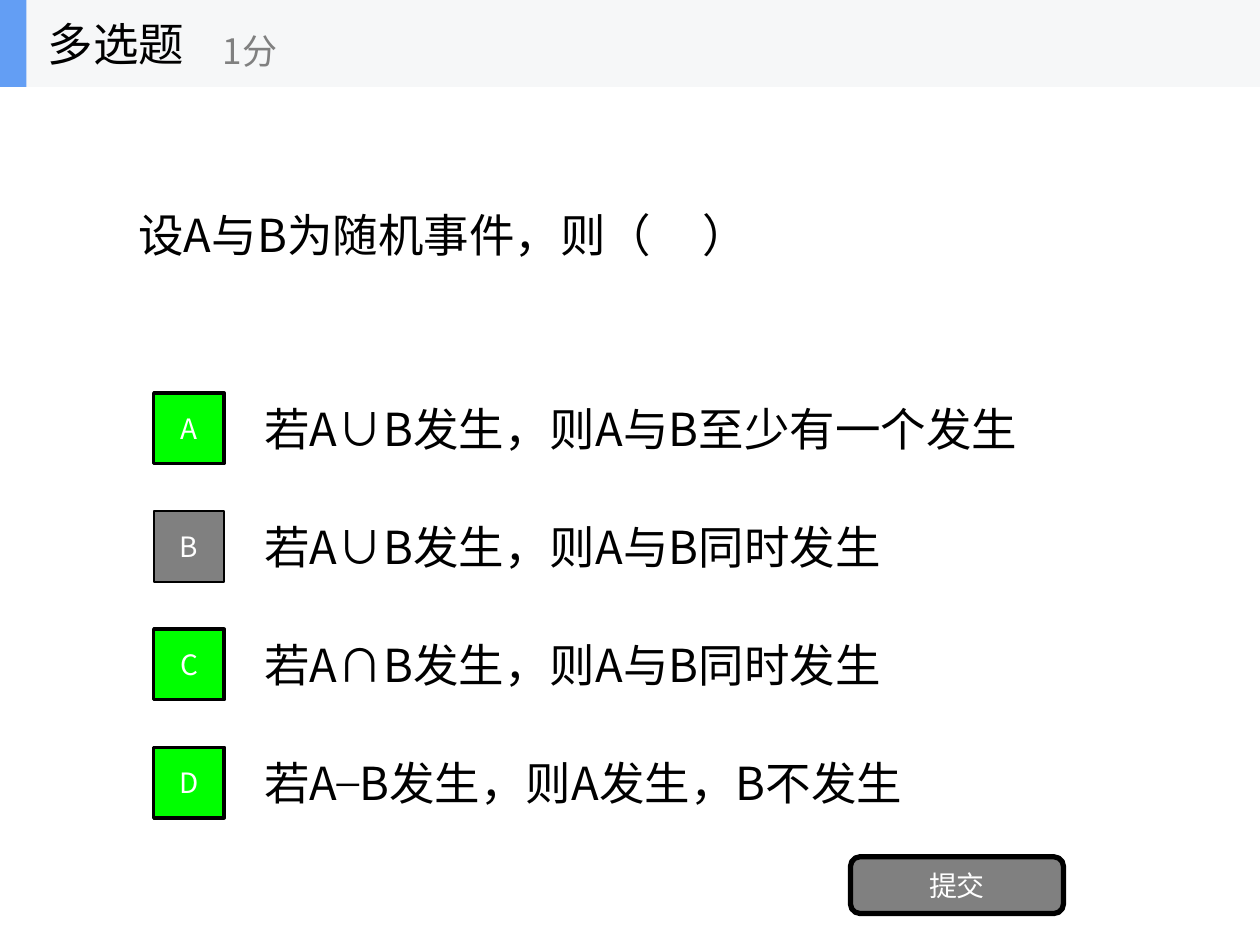
"""Build a multiple-choice question slide on random events."""
from dataclasses import dataclass

from lxml import etree
from pptx import Presentation
from pptx.dml.color import RGBColor
from pptx.enum.shapes import MSO_SHAPE
from pptx.enum.text import MSO_ANCHOR, MSO_AUTO_SIZE, PP_ALIGN
from pptx.oxml.ns import qn
from pptx.util import Inches, Pt

RECTANGLE = MSO_SHAPE.RECTANGLE
ROUNDED = MSO_SHAPE.ROUNDED_RECTANGLE
LEFT, CENTER = PP_ALIGN.LEFT, PP_ALIGN.CENTER
MIDDLE = MSO_ANCHOR.MIDDLE
NO_AUTOFIT = MSO_AUTO_SIZE.NONE
TITLE_ONLY = 5

HEADING = "多选题"
SCORE = "1分"
QUESTION = "设A与B为随机事件，则（     ）"
SUBMIT = "提交"
OPTIONS = [
    ("A", True, "若A∪B发生，则A与B至少有一个发生"),
    ("B", False, "若A∪B发生，则A与B同时发生"),
    ("C", True, "若A∩B发生，则A与B同时发生"),
    ("D", True, ["若A ", ("̶ ", "Times New Roman"), "B发生，则A发生，B不发生"]),
]


@dataclass(frozen=True)
class Theme:
    font: str = "Noto Sans CJK SC"
    ink: str = "000000"
    white: str = "FFFFFF"
    gray: str = "808080"
    correct: str = "00FF00"
    band: str = "F6F7F8"
    accent: str = "639EF4"
    large: int = 26
    medium: int = 20
    small: int = 16


THEME = Theme()
HEADER_HEIGHT = 0.69
OPTION_TOP, OPTION_PITCH, OPTION_HEIGHT = 3.05, 0.937, 0.7
KEY_SIZE = 0.56


def write_text(shape, text, size=THEME.large, color=THEME.ink, align=LEFT, wrap=True):
    frame = shape.text_frame
    frame.auto_size = NO_AUTOFIT
    frame.word_wrap = wrap
    frame.vertical_anchor = MIDDLE
    paragraph = frame.paragraphs[0]
    paragraph.alignment = align
    for part in [text] if isinstance(text, str) else text:
        content, font_name = (part, THEME.font) if isinstance(part, str) else part
        run = paragraph.add_run()
        run.text = content
        run.font.size = Pt(size)
        run.font.color.rgb = RGBColor.from_string(color)
        run.font.name = font_name
        properties = run.font._element
        etree.SubElement(properties, qn("a:ea")).set("typeface", font_name)


def add_text(slide, box, text, **style):
    shape = slide.shapes.add_textbox(*map(Inches, box))
    write_text(shape, text, **style)


def add_block(slide, box, fill, kind=RECTANGLE, line_width=0):
    shape = slide.shapes.add_shape(kind, *map(Inches, box))
    shape.shadow.inherit = False
    shape.fill.solid()
    shape.fill.fore_color.rgb = RGBColor.from_string(fill)
    if line_width:
        shape.line.color.rgb = RGBColor.from_string(THEME.ink)
        shape.line.width = Pt(line_width)
    else:
        shape.line.fill.background()
    return shape


def add_header(slide):
    title = slide.shapes.title
    for width, fill in ((10, THEME.band), (0.21, THEME.accent)):
        bar = add_block(slide, (0, 0, width, HEADER_HEIGHT), fill)
        title.element.addprevious(bar.element)
    title.left, title.top, title.width, title.height = map(
        Inches, (0.28, 0, 2.08, HEADER_HEIGHT))
    write_text(title, HEADING, wrap=False)
    add_text(slide, (1.67, 0.12, 2.5, 0.56), SCORE,
             size=THEME.medium, color=THEME.gray, wrap=False)


def add_options(slide):
    label = {"size": THEME.small, "color": THEME.white, "align": CENTER}
    for index, (letter, correct, text) in enumerate(OPTIONS):
        top = OPTION_TOP + index * OPTION_PITCH
        add_text(slide, (2, top, 7, OPTION_HEIGHT), text)
        key_top = top + (OPTION_HEIGHT - KEY_SIZE) / 2
        fill, line_width = (THEME.correct, 2) if correct else (THEME.gray, 1)
        key = add_block(slide, (1.22, key_top, KEY_SIZE, KEY_SIZE), fill,
                        line_width=line_width)
        write_text(key, letter, **label)
    button = add_block(slide, (6.75, 6.8, 1.69, 0.45), THEME.gray, ROUNDED, 3)
    write_text(button, SUBMIT, **label)


def main():
    presentation = Presentation()
    presentation.slide_width, presentation.slide_height = Inches(10), Inches(7.5)
    slide = presentation.slides.add_slide(presentation.slide_layouts[TITLE_ONLY])
    add_header(slide)
    add_text(slide, (1, HEADER_HEIGHT, 8, 2.34), QUESTION)
    add_options(slide)
    presentation.save("out.pptx")


if __name__ == "__main__":
    main()
